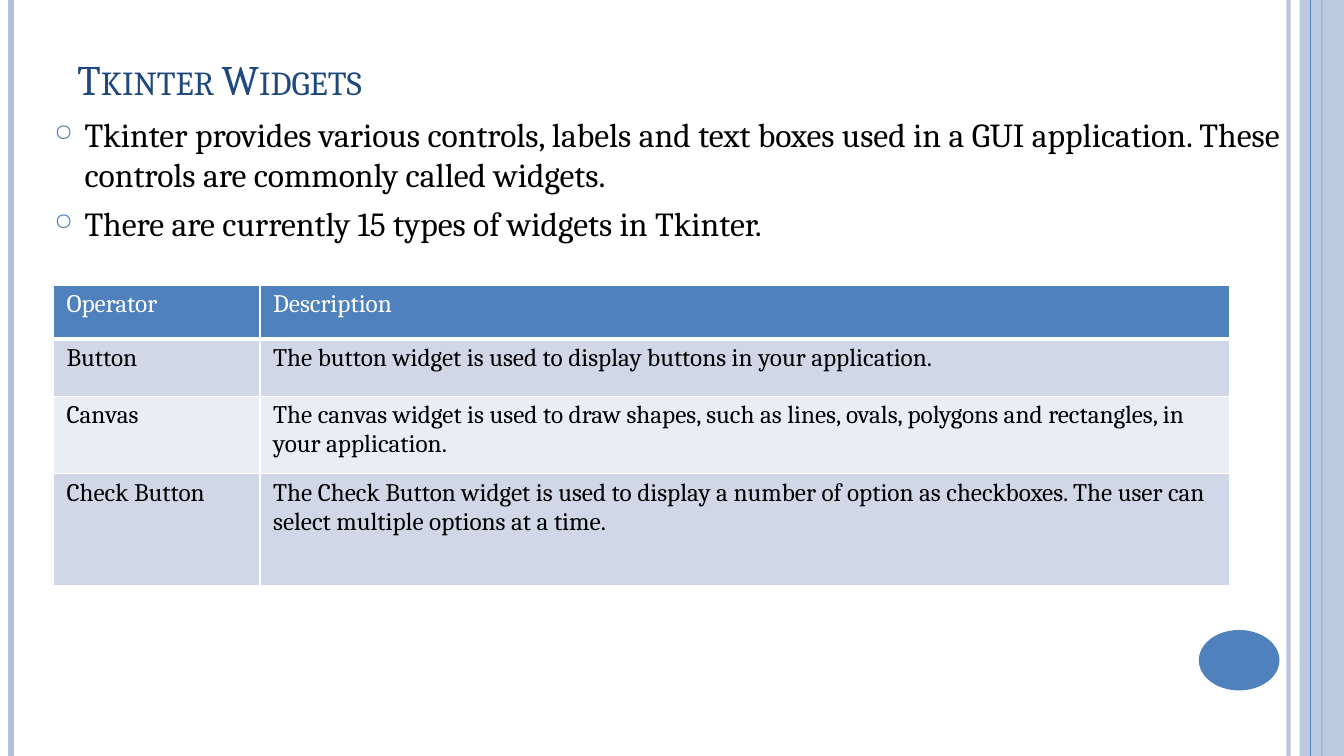
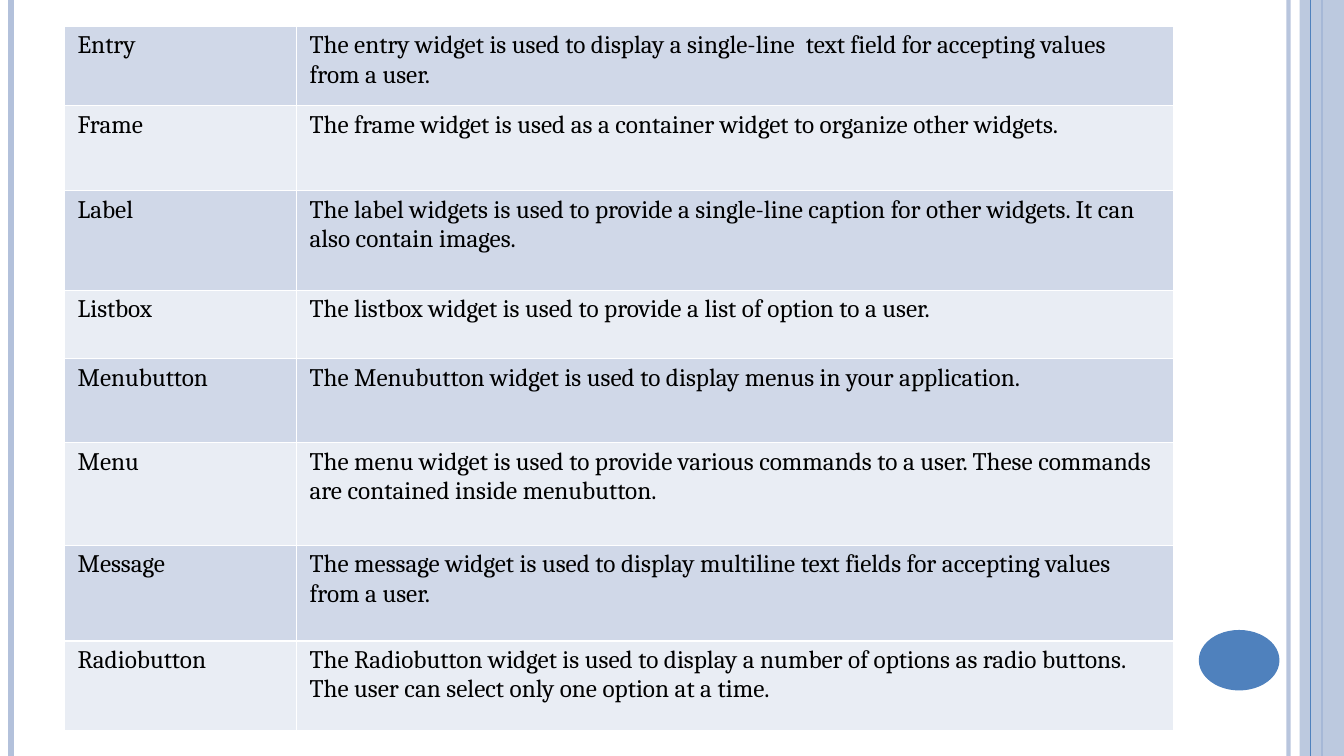
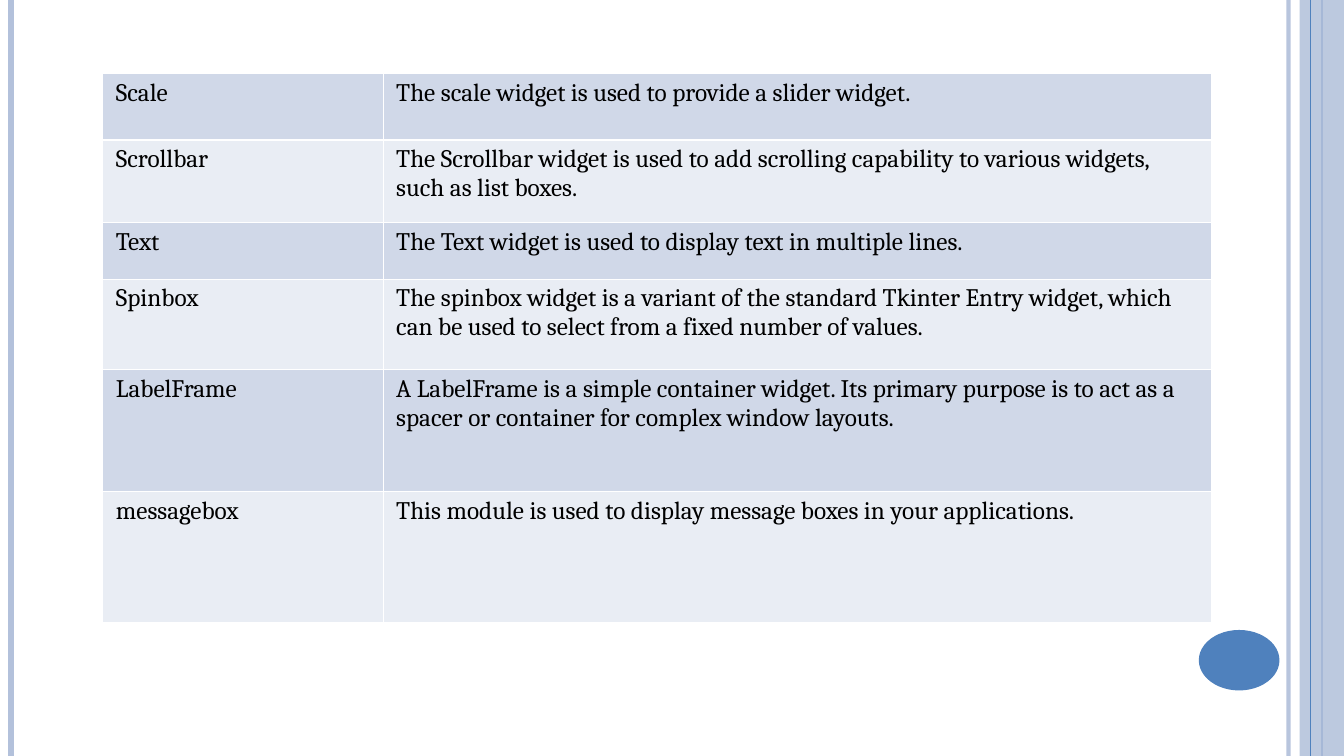
"""Builds three slides that list the Tkinter widgets."""
import pptx
import pptx.util
import pptx.dml.color
import pptx.enum.shapes
import pptx.enum.text
import pptx.oxml
import pptx.oxml.ns

Inches = pptx.util.Inches
Pt = pptx.util.Pt
RGBColor = pptx.dml.color.RGBColor
qn = pptx.oxml.ns.qn

BLUE = RGBColor(0x4F, 0x81, 0xBD)
PALE_BLUE = RGBColor(0xB3, 0xC1, 0xDB)
NAVY = RGBColor(0x1F, 0x49, 0x7D)
BLACK = RGBColor(0, 0, 0)
WHITE = RGBColor(0xFF, 0xFF, 0xFF)
ROW_FILLS = (RGBColor(0xD0, 0xD8, 0xE8), RGBColor(0xE9, 0xED, 0xF4))
FONT = "Cambria"
WIDTH, HEIGHT = 13.33, 7.5

RULES_BEHIND = [
    {"x": 12.78, "color": PALE_BLUE, "points": 3, "opacity": 93},
    {"x": 0.11, "color": PALE_BLUE, "points": 4.5, "opacity": 100},
    {"x": 13.11, "color": BLUE, "points": 1.5, "opacity": 100},
]
RULE_IN_FRONT = {"x": 13, "color": BLUE, "points": 0.75, "opacity": 100}
BAND = (12.89, 0, 0.44, HEIGHT)
PAGE_DISC = (11.89, 6.25, 0.8, 0.6)

SLIDES = [
    {
        "title": "Tkinter Widgets",
        "bullets": [
            "Tkinter provides various controls, labels and text boxes used in a GUI "
            "application. These controls are commonly called widgets.",
            "There are currently 15 types of widgets in Tkinter.",
        ],
        "corner": (0.53, 2.83),
        "columns": (2.05, 9.62),
        "header": (0.53, "Operator", "Description"),
        "widgets": [
            (0.57, "Button", "The button widget is used to display buttons in your application."),
            (0.77, "Canvas", "The canvas widget is used to draw shapes, such as lines, ovals, "
             "polygons and rectangles, in your application."),
            (1.11, "Check Button", "The Check Button widget is used to display a number of option "
             "as checkboxes. The user can select multiple options at a time."),
        ],
    },
    {
        "corner": (0.64, 0.26),
        "columns": (2.3, 8.7),
        "widgets": [
            (0.79, "Entry", "The entry widget is used to display a single-line  text field for "
             "accepting values from a user."),
            (0.84, "Frame", "The frame widget is used as a container widget to organize other widgets."),
            (0.99, "Label", "The label widgets is used to provide a single-line caption for other "
             "widgets. It can also contain images."),
            (0.68, "Listbox", "The listbox widget is used to provide a list of option to a user."),
            (0.83, "Menubutton", "The Menubutton widget is used to display menus in your application."),
            (1.02, "Menu", "The menu widget is used to provide various commands to a user. These "
             "commands are contained inside menubutton."),
            (0.95, "Message", "The message widget is used to display multiline text fields for "
             "accepting values from a user."),
            (0.89, "Radiobutton", "The Radiobutton widget is used to display a number of options as "
             "radio buttons. The user can select only one option at a time."),
        ],
    },
    {
        "corner": (1.02, 0.73),
        "columns": (2.78, 8.22),
        "widgets": [
            (0.66, "Scale", "The scale widget is used to provide a slider widget."),
            (0.82, "Scrollbar", "The Scrollbar widget is used to add scrolling capability to various "
             "widgets, such as list boxes."),
            (0.56, "Text", "The Text widget is used to display text in multiple lines."),
            (0.9, "Spinbox", "The spinbox widget is a variant of the standard Tkinter Entry widget, "
             "which can be used to select from a fixed number of values."),
            (1.21, "LabelFrame", "A LabelFrame is a simple container widget. Its primary purpose is to "
             "act as a spacer or container for complex window layouts."),
            (1.3, "messagebox", "This module is used to display message boxes in your applications."),
        ],
    },
]


def add_xml(parent, tag, **attributes):
    """Append a DrawingML element and return it."""
    element = pptx.oxml.parse_xml(f'<a:{tag} {pptx.oxml.ns.nsdecls("a")}/>')
    for key, value in attributes.items():
        element.set(key, str(value))
    parent.append(element)
    return element


def set_opacity(fill_parent, percent):
    """Make the solid fill below an element partly transparent."""
    color = fill_parent.find(qn("a:solidFill"))[0]
    add_xml(color, "alpha", val=percent * 1000)


def add_rule(slide, x, color, points, opacity):
    """Draw a vertical rule over the whole slide height."""
    rule = slide.shapes.add_connector(
        pptx.enum.shapes.MSO_CONNECTOR.STRAIGHT, Inches(x), 0, Inches(x), Inches(HEIGHT))
    rule.line.color.rgb = color
    rule.line.width = Pt(points)
    properties = rule._element.spPr
    set_opacity(properties.find(qn("a:ln")), opacity)
    add_xml(properties, "effectLst")


def add_plain_shape(slide, preset, box, color):
    """Add a filled shape without outline or shadow."""
    shape = slide.shapes.add_shape(preset, *map(Inches, box))
    shape.shadow.inherit = False
    shape.fill.solid()
    shape.fill.fore_color.rgb = color
    shape.line.fill.background()
    return shape


def add_frame(slide):
    """Draw the rules, side band and disc that every slide shares."""
    presets = pptx.enum.shapes.MSO_SHAPE
    for rule in RULES_BEHIND:
        add_rule(slide, **rule)
    band = add_plain_shape(slide, presets.RECTANGLE, BAND, PALE_BLUE)
    set_opacity(band._element.spPr, 87)
    add_rule(slide, **RULE_IN_FRONT)
    add_plain_shape(slide, presets.OVAL, PAGE_DISC, BLUE)


def write(paragraph, text, size, color):
    """Write one run in the deck font and return it."""
    run = paragraph.add_run()
    run.text = text
    for key, value in {"name": FONT, "size": Pt(size)}.items():
        setattr(run.font, key, value)
    run.font.color.rgb = color
    return run


def add_text_frame(slide, box, anchor):
    """Add a wrapping text box and return its frame."""
    frame = slide.shapes.add_textbox(*map(Inches, box)).text_frame
    frame.word_wrap = True
    frame.vertical_anchor = anchor
    return frame


def add_title(slide, title):
    """Write the slide title in small capitals."""
    frame = add_text_frame(slide, (0.67, 0.3, 12, 0.78), pptx.enum.text.MSO_ANCHOR.BOTTOM)
    run = write(frame.paragraphs[0], title, 30, NAVY)
    run.font._element.set("cap", "small")


def add_bullets(slide, bullets):
    """Write the bulleted introduction."""
    frame = add_text_frame(slide, (0.44, 1.08, 12.56, 5.5), pptx.enum.text.MSO_ANCHOR.TOP)
    for index, bullet in enumerate(bullets):
        paragraph = frame.add_paragraph() if index else frame.paragraphs[0]
        paragraph.space_before = Pt(6)
        properties = paragraph._p.get_or_add_pPr()
        properties.set("marL", str(Inches(0.3)))
        properties.set("indent", str(-Inches(0.3)))
        add_xml(add_xml(properties, "buClr"), "srgbClr", val=BLUE)
        add_xml(properties, "buSzPct", val=70000)
        add_xml(properties, "buChar", char="○")
        write(paragraph, bullet, 24, BLACK)


def format_cell(cell, text, fill, color, bottom_points):
    """Write a table cell with its borders, margins and fill."""
    margins = {"margin_left": 0.13, "margin_right": 0.13, "margin_top": 0.05, "margin_bottom": 0.05}
    for key, value in margins.items():
        setattr(cell, key, Inches(value))
    write(cell.text_frame.paragraphs[0], text, 18, color)
    properties = cell._tc.get_or_add_tcPr()
    for side, points in {"lnL": 1, "lnR": 1, "lnT": 1, "lnB": bottom_points}.items():
        border = add_xml(properties, side, w=Pt(points))
        add_xml(add_xml(border, "solidFill"), "srgbClr", val=WHITE)
    cell.fill.solid()
    cell.fill.fore_color.rgb = fill


def add_widget_table(slide, corner, columns, widgets, header=None):
    """Add the table of widgets, under a header row if there is one."""
    styled_rows = [(header, BLUE, WHITE, 3)] if header else []
    styled_rows += [(row, ROW_FILLS[i % 2], BLACK, 1) for i, row in enumerate(widgets)]
    total_height = sum(row[0] for row, *_ in styled_rows)
    table = slide.shapes.add_table(
        len(styled_rows), len(columns),
        *map(Inches, (*corner, sum(columns), total_height))).table
    table.first_row = table.horz_banding = False
    for column, width in zip(table.columns, columns):
        column.width = Inches(width)
    for table_row, ((height, *texts), *style) in zip(table.rows, styled_rows):
        table_row.height = Inches(height)
        for cell, text in zip(table_row.cells, texts):
            format_cell(cell, text, *style)


def main():
    """Build and save the deck."""
    deck = pptx.Presentation()
    deck.slide_width, deck.slide_height = Inches(WIDTH), Inches(HEIGHT)
    for content in SLIDES:
        slide = deck.slides.add_slide(deck.slide_layouts[6])
        add_frame(slide)
        if "title" in content:
            add_title(slide, content["title"])
            add_bullets(slide, content["bullets"])
        add_widget_table(slide, content["corner"], content["columns"],
                         content["widgets"], content.get("header"))
    deck.save("out.pptx")


if __name__ == "__main__":
    main()
